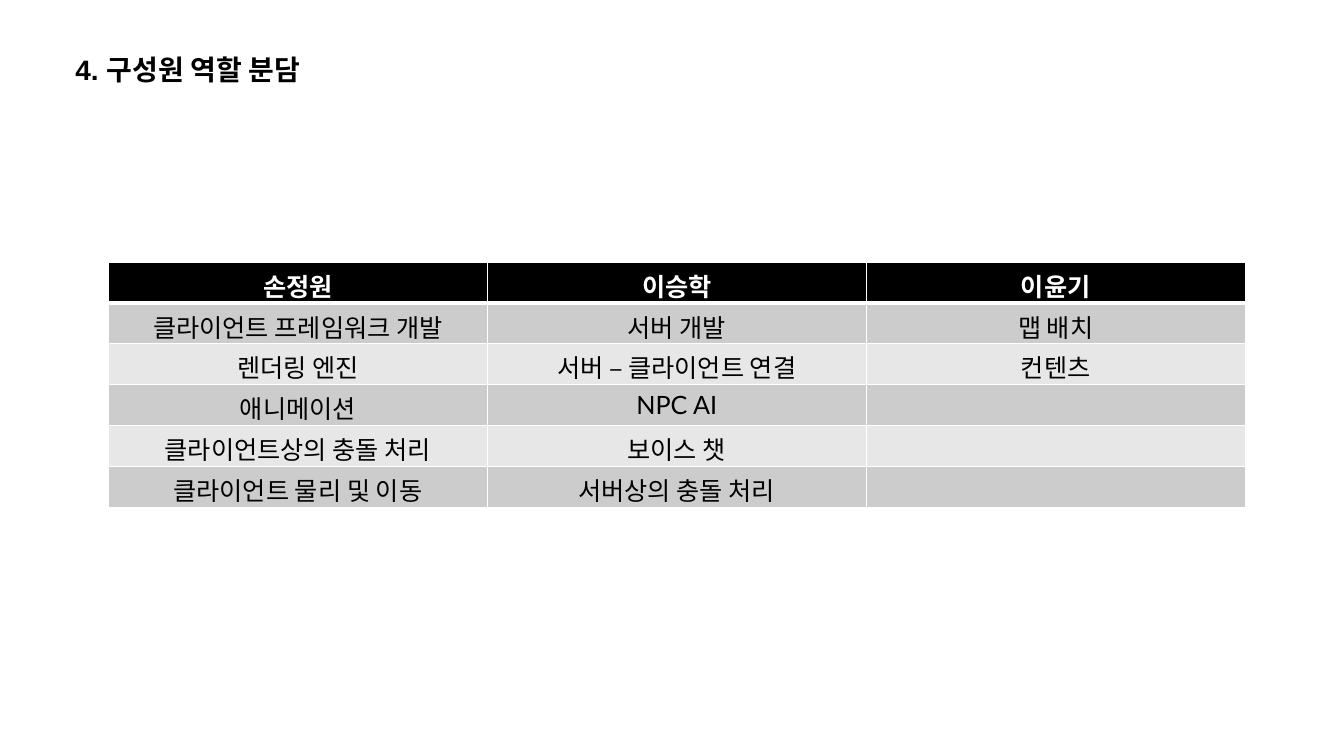
from lxml.etree import SubElement
from pptx import Presentation
from pptx.dml.color import RGBColor
from pptx.enum.text import MSO_AUTO_SIZE, PP_ALIGN
from pptx.oxml.ns import qn
from pptx.util import Cm, Pt

BLACK = RGBColor(0x00, 0x00, 0x00)
WHITE = RGBColor(0xFF, 0xFF, 0xFF)
DARK_BAND = RGBColor(0xCC, 0xCC, 0xCC)
LIGHT_BAND = RGBColor(0xE7, 0xE7, 0xE7)

ROLES = [
    ("손정원", "이승학", "이윤기"),
    ("클라이언트 프레임워크 개발", "서버 개발", "맵 배치"),
    ("렌더링 엔진", "서버 – 클라이언트 연결", "컨텐츠"),
    ("애니메이션", "NPC AI", ""),
    ("클라이언트상의 충돌 처리", "보이스 챗", ""),
    ("클라이언트 물리 및 이동", "서버상의 충돌 처리", ""),
]


def set_font(p, name, size, color, bold):
    p.font.name = name
    p.font.size = Pt(size)
    p.font.color.rgb = color
    p.font.bold = bold


def add_title(slide, text):
    box = slide.shapes.add_textbox(Cm(1.65), Cm(1.19), Cm(9.6), Cm(1.12))
    tf = box.text_frame
    tf.word_wrap = True
    tf.auto_size = MSO_AUTO_SIZE.SHAPE_TO_FIT_TEXT
    p = tf.paragraphs[0]
    p.text = text
    set_font(p, "Arial", 20, BLACK, True)


def add_borders(cell, top, bottom):
    """White cell borders; must be written before the cell fill."""
    tc_pr = cell._tc.get_or_add_tcPr()
    for side, width in (("L", 1), ("R", 1), ("T", top), ("B", bottom)):
        ln = SubElement(tc_pr, qn(f"a:ln{side}"), w=str(Pt(width)))
        fill = SubElement(ln, qn("a:solidFill"))
        SubElement(fill, qn("a:srgbClr"), val=str(WHITE))


def fill_cell(cell, text, row):
    header = row == 0
    add_borders(cell, top=3 if row == 1 else 1, bottom=3 if header else 1)
    cell.fill.solid()
    band = DARK_BAND if row % 2 else LIGHT_BAND
    cell.fill.fore_color.rgb = BLACK if header else band
    p = cell.text_frame.paragraphs[0]
    p.text = text
    p.alignment = PP_ALIGN.CENTER
    set_font(p, "Lato", 18, WHITE if header else BLACK, header)


def add_role_table(slide, rows):
    col_w, row_h = Cm(9.55), Cm(1.03)
    n_rows, n_cols = len(rows), len(rows[0])
    table = slide.shapes.add_table(
        n_rows, n_cols, Cm(2.73), Cm(6.6), col_w * n_cols, row_h * n_rows
    ).table
    for r, texts in enumerate(rows):
        for c, text in enumerate(texts):
            fill_cell(table.cell(r, c), text, r)


def main():
    prs = Presentation()
    prs.slide_width, prs.slide_height = Cm(33.87), Cm(19.05)
    slide = prs.slides.add_slide(prs.slide_layouts[6])

    # Heading
    add_title(slide, "4. 구성원 역할 분담")

    # Members and their tasks
    add_role_table(slide, ROLES)

    prs.save("out.pptx")


if __name__ == "__main__":
    main()
